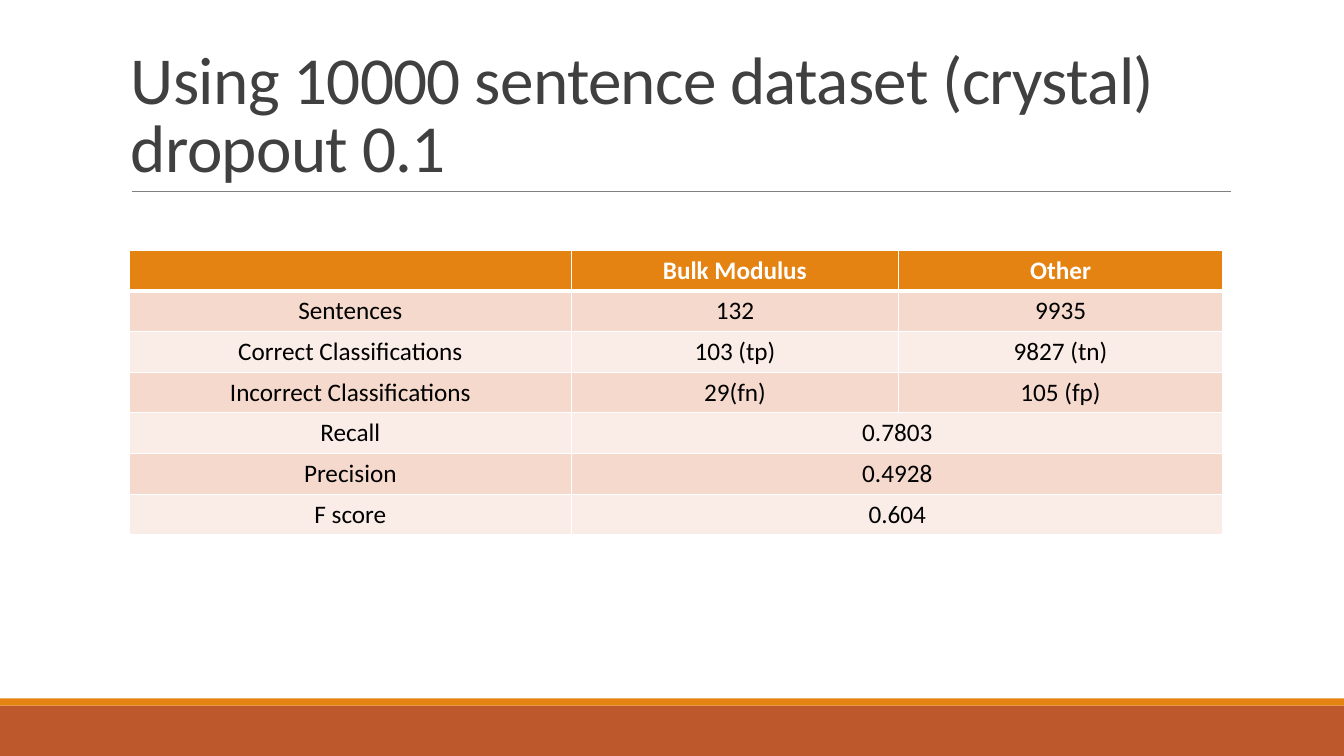
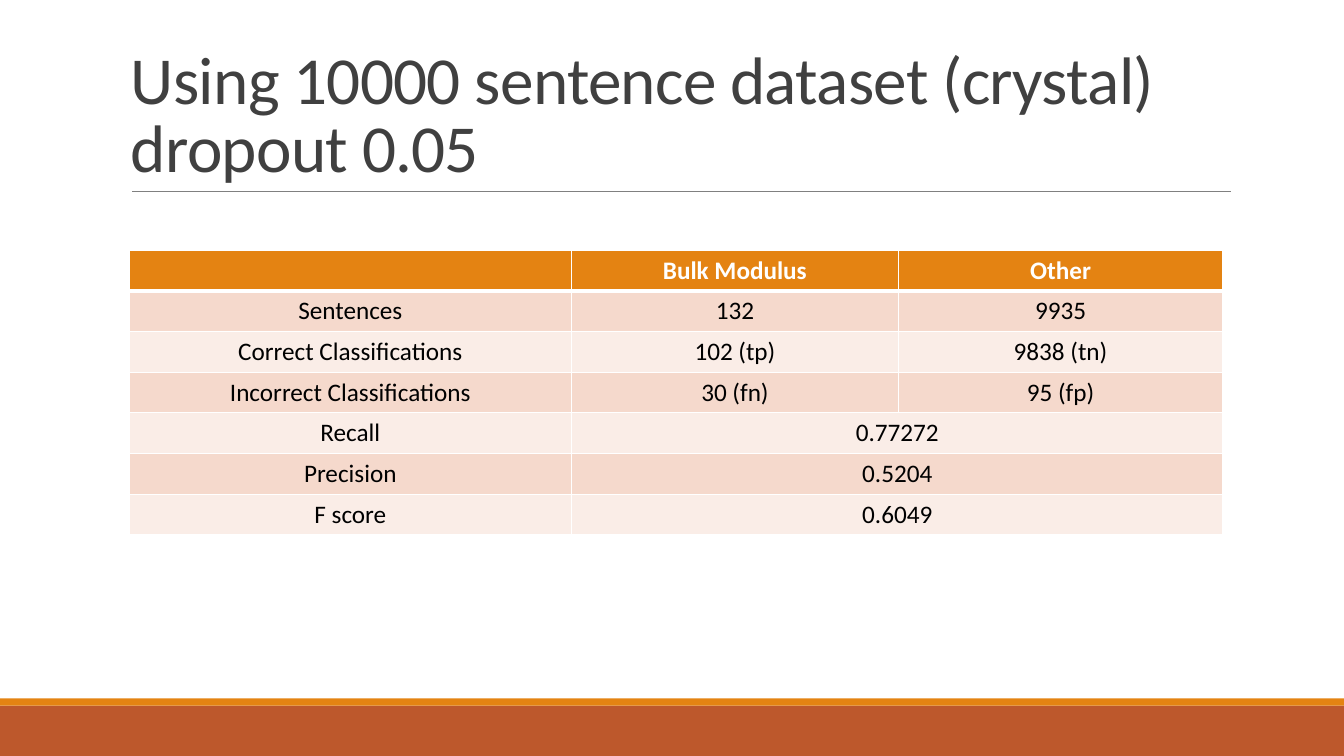
from pptx import Presentation, util as u
from pptx.dml.color import RGBColor
from pptx.enum import shapes, text
from lxml import etree

BRICK, ORANGE, GRAY, DARK = "BD582C", "E48312", "808080", "404040"
WHITE, BLACK, BANDS = "FFFFFF", "000000", ("FAEDE7", "F5D9CC")
A = "{http://schemas.openxmlformats.org/drawingml/2006/main}"


def color(hex_code):
    return RGBColor.from_string(hex_code)


def write(tf, words, size=18, fill=BLACK, bold=False, align=None, line=None, spc=None):
    p = tf.paragraphs[0]
    p.alignment = align
    p.line_spacing = line
    r = p.add_run()
    r.text = words
    r.font.name = "Calibri"
    r.font.size = u.Pt(size)
    r.font.bold = bold
    r.font.color.rgb = color(fill)
    if spc is not None:
        r.font._element.set("spc", str(spc))


results = [
    ("0.1", ("103 (tp)", "9827 (tn)"), ("29(fn)", "105 (fp)"), "0.7803", "0.4928", "0.604"),
    ("0.05", ("102 (tp)", "9838 (tn)"), ("30 (fn)", "95 (fp)"), "0.77272", "0.5204", "0.6049"),
]

prs = Presentation()
prs.slide_width, prs.slide_height = u.Inches(13.33), u.Inches(7.5)

for dropout, correct, incorrect, recall, precision, f_score in results:
    s = prs.slides.add_slide(prs.slide_layouts[6])

    for top, height, fill in ((7, 0.5, BRICK), (6.93, 0.07, ORANGE)):
        band = s.shapes.add_shape(shapes.MSO_SHAPE.RECTANGLE, 0, u.Inches(top),
                                  prs.slide_width, u.Inches(height))
        band.shadow.inherit = False
        band.fill.solid()
        band.fill.fore_color.rgb = color(fill)
        band.line.fill.background()

    rule = s.shapes.add_connector(shapes.MSO_CONNECTOR.STRAIGHT, u.Inches(1.31), u.Inches(1.9),
                                  u.Inches(12.21), u.Inches(1.9))
    rule.line.color.rgb = color(GRAY)
    rule.line.width = u.Pt(0.5)
    etree.SubElement(rule._element.spPr, A + "effectLst")

    title = s.shapes.add_textbox(u.Inches(1.2), u.Inches(0.31), u.Inches(11), u.Inches(1.59))
    tf = title.text_frame
    tf.word_wrap = True
    tf.vertical_anchor = text.MSO_ANCHOR.BOTTOM
    write(tf, f"Using 10000 sentence dataset (crystal) dropout {dropout}",
          size=48, fill=DARK, line=0.85, spc=-50)

    rows = [
        ("", "Bulk Modulus", "Other"),
        ("Sentences", "132", "9935"),
        ("Correct Classifications", *correct),
        ("Incorrect Classifications", *incorrect),
        ("Recall", recall),
        ("Precision", precision),
        ("F score", f_score),
    ]
    table = s.shapes.add_table(len(rows), 3, u.Inches(1.28), u.Inches(2.48),
                               u.Inches(10.85), u.Inches(2.83)).table
    for column, width in zip(table.columns, (4.39, 3.24, 3.22)):
        column.width = u.Inches(width)

    for i, row in enumerate(rows):
        header = i == 0
        for j in range(3):
            cell = table.cell(i, j)
            tcPr = cell._tc.get_or_add_tcPr()
            for side in "LRTB":
                thick = (i, side) in ((0, "B"), (1, "T"))
                ln = etree.SubElement(tcPr, A + "ln" + side, w=str(u.Pt(3 if thick else 1)))
                etree.SubElement(etree.SubElement(ln, A + "solidFill"), A + "srgbClr", val=WHITE)
            cell.fill.solid()
            cell.fill.fore_color.rgb = color(ORANGE if header else BANDS[i % 2])
            if j < len(row) and row[j]:
                write(cell.text_frame, row[j], fill=WHITE if header else BLACK,
                      bold=header, align=text.PP_ALIGN.CENTER)
        if len(row) == 2:
            table.cell(i, 1).merge(table.cell(i, 2))

prs.save("out.pptx")
